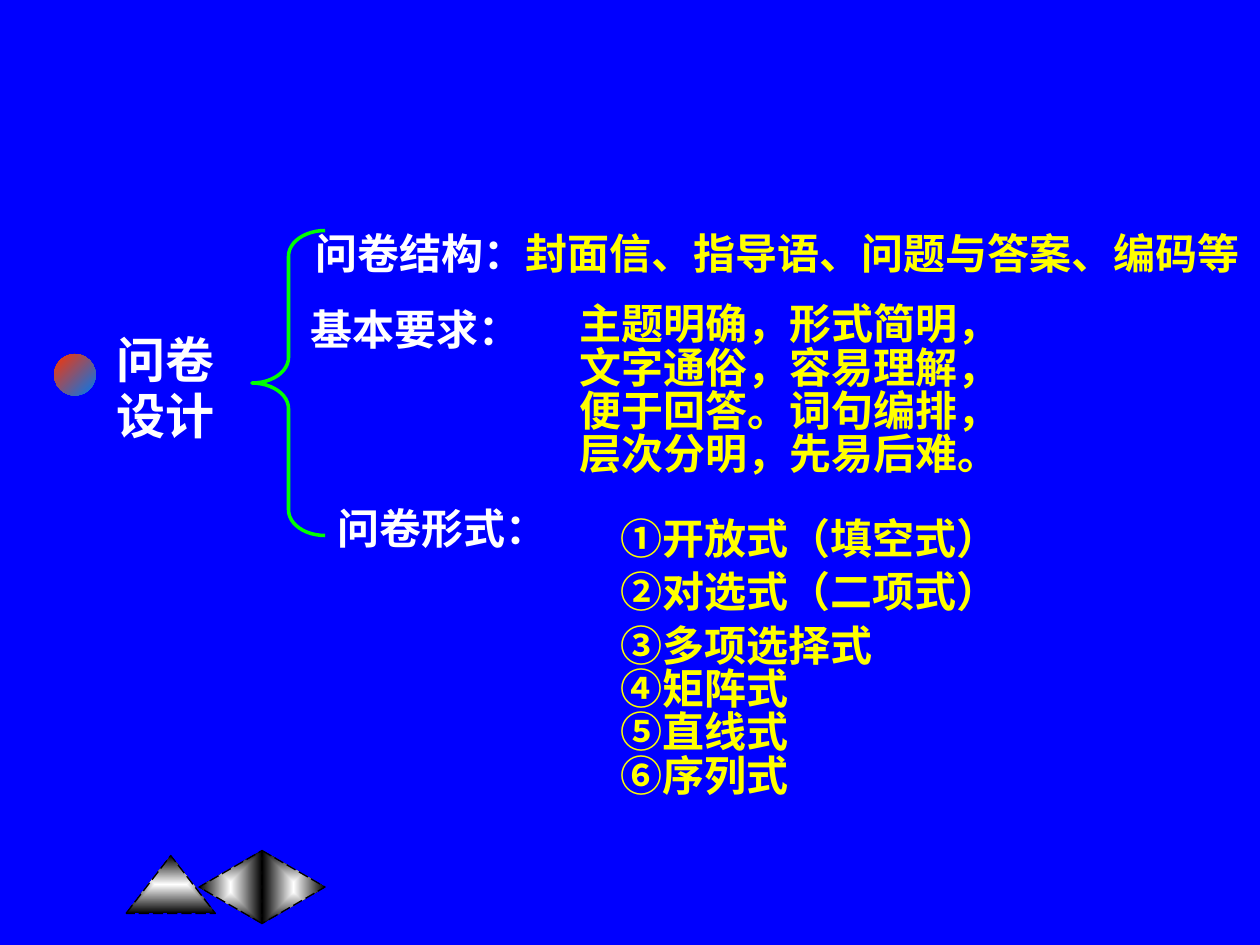
from lxml.etree import SubElement
from pptx import Presentation
from pptx.dml.color import RGBColor
from pptx.enum.dml import MSO_LINE
from pptx.enum.shapes import MSO_SHAPE
from pptx.enum.text import MSO_ANCHOR, MSO_AUTO_SIZE, PP_ALIGN
from pptx.oxml.ns import qn
from pptx.util import Inches, Pt

COLORS = {
    "background": "0000FF",
    "label": "FFFFFF",
    "detail": "FFFF00",
    "brace": "00FF00",
    "ball_blue": "007AF4",
    "ball_red": "FF3300",
    "white": "FFFFFF",
    "black": "000000",
}

deck = Presentation()
deck.slide_width, deck.slide_height = Inches(10), Inches(7.5)
page = deck.slides.add_slide(deck.slide_layouts[6])
page.background.fill.solid()
page.background.fill.fore_color.rgb = RGBColor.from_string(COLORS["background"])


def add_text(frame, lines, align=PP_ALIGN.LEFT, spacing=(0.96,), indent=0):
    """Each line is a list of (text, size, color name); the last spacing repeats."""
    box = page.shapes.add_textbox(*[Inches(value) for value in frame])
    body = box.text_frame
    body.word_wrap = True
    body.auto_size = MSO_AUTO_SIZE.SHAPE_TO_FIT_TEXT
    body.vertical_anchor = MSO_ANCHOR.MIDDLE
    for index, spans in enumerate(lines):
        para = body.paragraphs[0] if index == 0 else body.add_paragraph()
        para.alignment = align
        para.line_spacing = spacing[min(index, len(spacing) - 1)]
        if indent:
            properties = para._p.get_or_add_pPr()
            properties.set("marL", str(Inches(indent)))
            properties.set("indent", "0")
        for text, size, color in spans:
            span = para.add_run()
            span.text = text
            span.font.size = Pt(size)
            span.font.bold = True
            span.font.color.rgb = RGBColor.from_string(COLORS[color])
            span.font.name = "Times New Roman"
            east_asian = SubElement(span._r.get_or_add_rPr(), qn("a:ea"))
            east_asian.set("typeface", "Noto Sans CJK SC")


def add_gradient_shape(kind, frame, start, end):
    shape = page.shapes.add_shape(kind, *[Inches(value) for value in frame])
    shape.shadow.inherit = False
    shape.fill.gradient()
    for stop, color in zip(shape.fill.gradient_stops, (start, end)):
        stop.color.rgb = RGBColor.from_string(COLORS[color])
    return shape


# Navigation arrows: previous, next, up
for frame, rotation in (
    ((1.54, 6.79, 0.58, 0.5), 270),
    ((2.04, 6.79, 0.58, 0.5), 90),
    ((1, 6.79, 0.71, 0.46), 0),
):
    arrow = add_gradient_shape(MSO_SHAPE.ISOSCELES_TRIANGLE, frame, "white", "black")
    arrow.rotation = rotation
    arrow.line.color.rgb = RGBColor.from_string(COLORS["black"])
    arrow.line.width = Pt(0.75)
    arrow.line.dash_style = MSO_LINE.LONG_DASH
    gradient = arrow._element.spPr.find(qn("a:gradFill"))
    gradient.remove(gradient.find(qn("a:lin")))
    center = SubElement(gradient, qn("a:path"), path="rect")
    SubElement(center, qn("a:fillToRect"), l="50000", t="50000", r="50000", b="50000")

# Topic with its ball and brace
ball = add_gradient_shape(MSO_SHAPE.OVAL, (0.43, 2.81, 0.33, 0.33), "ball_blue", "ball_red")
ball.fill.gradient_angle = 135
ball.line.fill.background()

add_text((0.83, 2.59, 1, 1), [[("问卷", 28, "label")], [("设计", 28, "label")]],
         align=PP_ALIGN.JUSTIFY)

brace = page.shapes.add_shape(
    MSO_SHAPE.LEFT_BRACE, Inches(2), Inches(1.83), Inches(0.58), Inches(2.42))
brace.adjustments[0] = 0.35
brace.shadow.inherit = False
brace.fill.background()
brace.line.color.rgb = RGBColor.from_string(COLORS["brace"])
brace.line.width = Pt(2)

# Branch labels
for frame, label, detail in (
    ((2.25, 1.73, 7.75, 0.55), "问卷结构：", "封面信、指导语、问题与答案、编码等"),
    ((2.17, 2.33, 2.17, 0.55), "基本要求：", ""),
    ((2.09, 3.91, 2.75, 0.55), "问卷形式：", ""),
):
    spans = [(" ", 28, "label"), (label, 24, "label")]
    if detail:
        spans.append((detail, 24, "detail"))
    add_text(frame, [spans], align=PP_ALIGN.CENTER)

# Branch details
requirements = ["主题明确，形式简明，", "文字通俗，容易理解，", "便于回答。词句编排，", "层次分明，先易后难。"]
add_text((3.5, 2.37, 6.25, 1.48), [[(line, 24, "detail")] for line in requirements],
         spacing=(0.86,), indent=1)

forms = ["①开放式（填空式）", "②对选式（二项式）", "③多项选择式", "④矩阵式", "⑤直线式", "⑥序列式"]
add_text((4.83, 3.99, 3.42, 2.41), [[(line, 24, "detail")] for line in forms],
         spacing=(1.06, 1.06, 1.06, 0.86))

deck.save("out.pptx")
